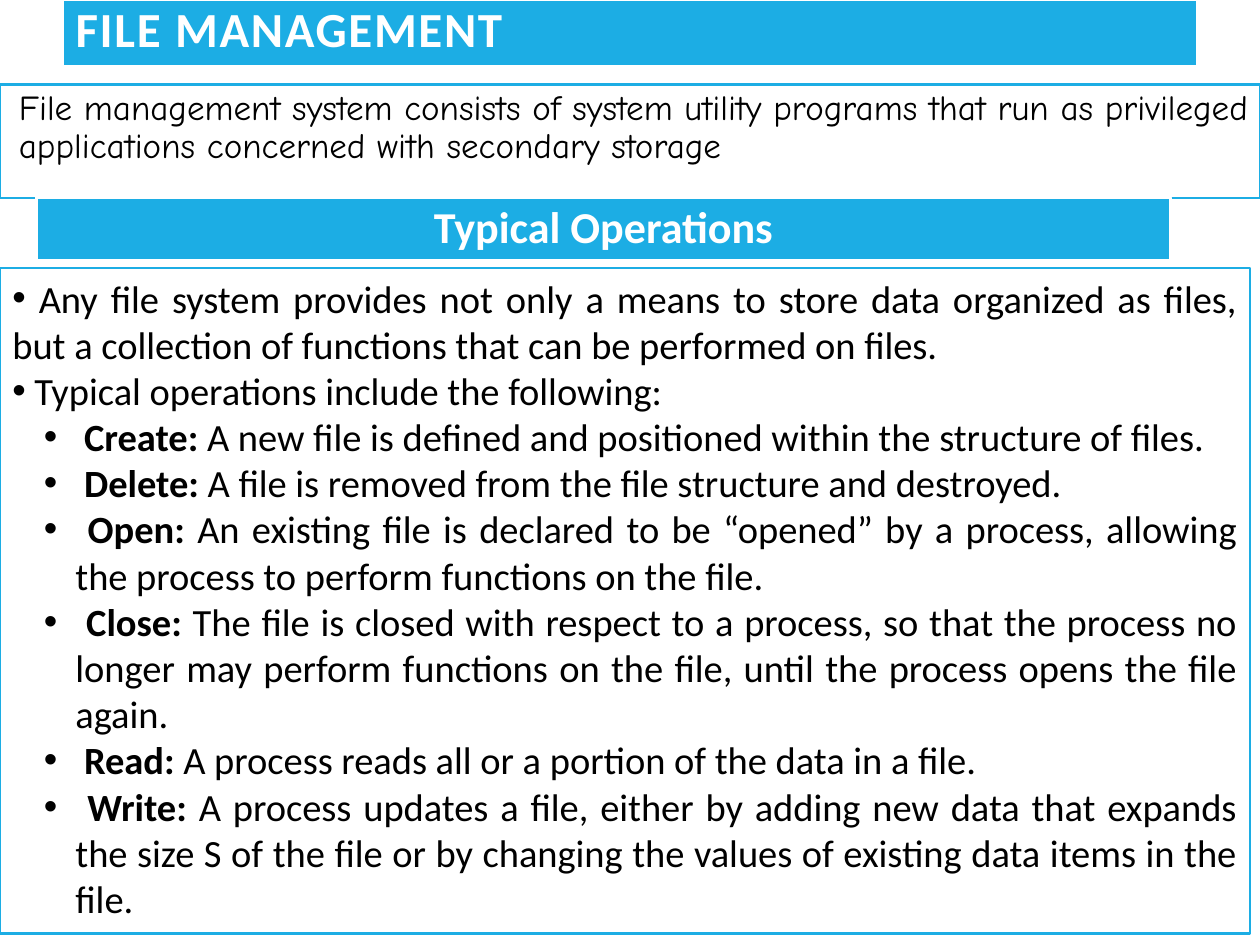
from pptx import Presentation
from pptx.dml.color import RGBColor
from pptx.enum.shapes import MSO_SHAPE
from pptx.enum.text import MSO_ANCHOR, MSO_AUTO_SIZE, PP_ALIGN
from pptx.oxml.ns import qn
from pptx.util import Inches, Pt
from lxml.etree import SubElement

COLORS = {"accent": "1CADE4", "white": "FFFFFF", "text": "000000"}

TITLE = "FILE MANAGEMENT"
DEFINITION = ("File management system consists of system utility programs that run as "
              "privileged applications concerned with secondary storage")
HEADING = "Typical Operations"
INTRODUCTION = [
    " Any file system provides not only a means to store data organized as files, "
    "but a collection of functions that can be performed on files.",
    " Typical operations include the following:",
]
OPERATIONS = [
    ("Create:", "A new file is defined and positioned within the structure of files."),
    ("Delete:", "A file is removed from the file structure and destroyed."),
    ("Open:", "An existing file is declared to be “opened” by a process, allowing the "
              "process to perform functions on the file."),
    ("Close:", "The file is closed with respect to a process, so that the process no longer "
               "may perform functions on the file, until the process opens the file again."),
    ("Read:", "A process reads all or a portion of the data in a file."),
    ("Write:", "A process updates a file, either by adding new data that expands the size S "
               "of the file or by changing the values of existing data items in the file."),
]


def color(name):
    return RGBColor.from_string(COLORS[name])


def style_box(box, place, fill, line, width, anchor=MSO_ANCHOR.TOP):
    box.left, box.top, box.width, box.height = map(Inches, place)
    box.fill.solid()
    box.fill.fore_color.rgb = color(fill)
    box.line.color.rgb = color(line)
    box.line.width = Pt(width)
    frame = box.text_frame
    frame.word_wrap = True
    frame.auto_size = MSO_AUTO_SIZE.NONE
    frame.vertical_anchor = anchor


def style_banner(box, place):
    style_box(box, place, "accent", "white", 1.5, MSO_ANCHOR.MIDDLE)


def style_panel(box, place):
    style_box(box, place, "white", "accent", 1.25)


def add_rectangle(slide):
    box = slide.shapes.add_shape(MSO_SHAPE.RECTANGLE, 0, 0, 0, 0)
    box.shadow.inherit = False
    return box


def style_paragraph(para, size, ink, align, spacing=1.0, bold=False, font="Calibri"):
    para.alignment = align
    para.line_spacing = spacing
    para.space_before = para.space_after = Pt(0)
    for span in para.runs:
        span.font.name = font
        span.font.size = Pt(size)
        span.font.bold = bold
        span.font.color.rgb = color(ink)


def set_bullet(para, margin, indent, char=None):
    properties = para._p.get_or_add_pPr()
    properties.set("marL", str(Inches(margin)))
    properties.set("indent", str(Inches(indent)))
    if char:
        SubElement(properties, qn("a:buFont"), typeface="Arial")
        SubElement(properties, qn("a:buChar"), char=char)
    else:
        SubElement(properties, qn("a:buNone"))


def add_operations(frame):
    items = [("", text) for text in INTRODUCTION]
    items += [(f" {name}", f" {text}") for name, text in OPERATIONS]
    for index, (name, text) in enumerate(items):
        para = frame.paragraphs[0] if index == 0 else frame.add_paragraph()
        if name:
            para.level = 1
            para.add_run().text = name
        para.add_run().text = text
        set_bullet(para, 0.5 if name else 0, -0.25 if name else 0, "•")
        style_paragraph(para, 22, "text", PP_ALIGN.JUSTIFY)
        if name:
            para.runs[0].font.bold = True


def main():
    deck = Presentation()
    deck.slide_width, deck.slide_height = Inches(10), Inches(7.5)
    slide = deck.slides.add_slide(deck.slide_layouts[1])

    title = slide.shapes.title
    style_banner(title, (0.5, 0, 9, 0.53))
    title.text_frame.text = TITLE
    para = title.text_frame.paragraphs[0]
    style_paragraph(para, 28, "white", PP_ALIGN.LEFT, 0.8, bold=True)
    para.runs[0].font._element.set("spc", "100")

    definition = slide.placeholders[1]
    style_panel(definition, (0, 0.67, 10, 0.9))
    frame = definition.text_frame
    frame.margin_left = frame.margin_right = Inches(0.05)
    frame.margin_top = frame.margin_bottom = Inches(0.05)
    frame.text = DEFINITION
    set_bullet(frame.paragraphs[0], 0.1, 0)
    style_paragraph(frame.paragraphs[0], 20, "text", PP_ALIGN.LEFT, 0.9, font="Comic Neue")

    heading = add_rectangle(slide)
    style_banner(heading, (0.29, 1.57, 9, 0.5))
    heading.text_frame.text = HEADING
    style_paragraph(heading.text_frame.paragraphs[0], 25.2, "white", PP_ALIGN.CENTER, 0.9, bold=True)

    operations = add_rectangle(slide)
    style_panel(operations, (0, 2.13, 9.92, 5.28))
    add_operations(operations.text_frame)

    deck.save("out.pptx")


if __name__ == "__main__":
    main()
